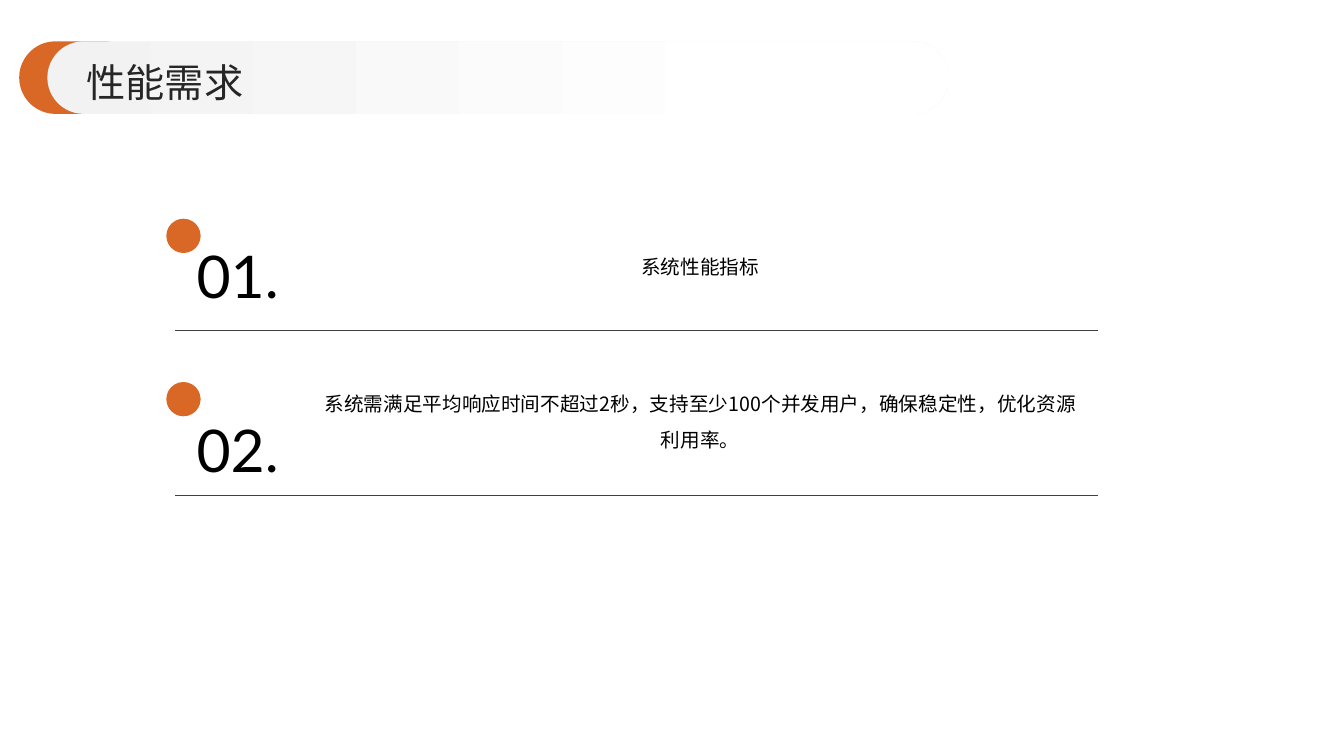
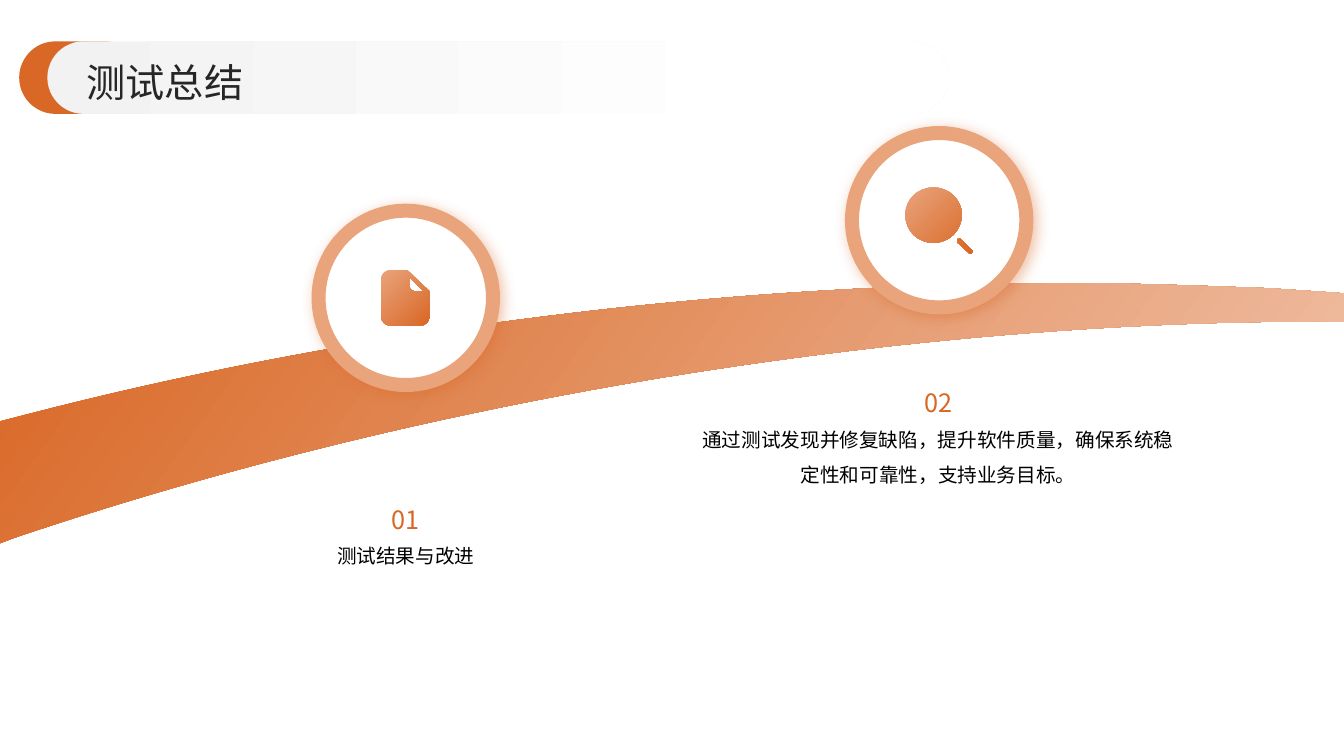
from lxml import etree
from pptx import Presentation
from pptx.dml.color import RGBColor
from pptx.enum.shapes import MSO_CONNECTOR, MSO_SHAPE
from pptx.enum.text import MSO_ANCHOR, PP_ALIGN
from pptx.oxml import parse_xml
from pptx.oxml.ns import qn
from pptx.util import Inches, Pt

OVAL, PILL = MSO_SHAPE.OVAL, MSO_SHAPE.ROUNDED_RECTANGLE
STRAIGHT = MSO_CONNECTOR.STRAIGHT
LEFT, CENTER = PP_ALIGN.LEFT, PP_ALIGN.CENTER
TOP, MIDDLE, BOTTOM = MSO_ANCHOR.TOP, MSO_ANCHOR.MIDDLE, MSO_ANCHOR.BOTTOM
COLORS = {
    "orange": "D96725", "ring": "E9A47C", "peach": "F0C2A8",
    "grey": "F2F2F2", "white": "FFFFFF", "black": "000000",
    "title": "262626", "rule": "404040",
}
RGB = {name: RGBColor.from_string(value) for name, value in COLORS.items()}
CJK, LATIN = "Noto Sans CJK SC", "Lato"
NS = 'xmlns:a="http://schemas.openxmlformats.org/drawingml/2006/main"'
RADIAL = (f'<a:path {NS} path="circle">'
          '<a:fillToRect l="100000" t="100000" r="0" b="0"/></a:path>')
GLOW = (f'<a:effectLst {NS}><a:outerShdw blurRad="{Pt(10)}" dist="{Pt(3)}" '
        'dir="2700000" algn="tl" rotWithShape="0">'
        f'<a:srgbClr val="{COLORS["orange"]}"><a:alpha val="40000"/></a:srgbClr>'
        '</a:outerShdw></a:effectLst>')


def add_text(s, box, text, size, color="black", font=CJK, align=CENTER,
             anchor=MIDDLE, spacing=1.5, inset=(0, 0)):
    tf = s.shapes.add_textbox(*map(Inches, box)).text_frame
    tf.word_wrap = True
    tf.vertical_anchor = anchor
    tf.margin_left = tf.margin_right = Inches(inset[0])
    tf.margin_top = tf.margin_bottom = Inches(inset[1])
    p = tf.paragraphs[0]
    p.alignment = align
    p.line_spacing = spacing
    r = p.add_run()
    r.text = text
    r.font.size = Pt(size)
    r.font.name = font
    r.font.color.rgb = RGB[color]
    etree.SubElement(r.font._element, qn("a:ea")).set("typeface", font)


def add_outline(s, contours, end_color, angle=None):
    builder = s.shapes.build_freeform(*map(Inches, contours[0][0]))
    segments = []
    for i, (start, *contour) in enumerate(contours):
        if i:
            builder.move_to(*map(Inches, start))
        builder.add_line_segments([tuple(map(Inches, seg[-2:])) for seg in contour], close=True)
        segments += contour + [None]
    sp = builder.convert_to_shape()
    lines = list(sp._element.spPr.iter(qn("a:lnTo"), qn("a:close")))
    for line, seg in zip(lines, segments):
        if seg and len(seg) == 6:
            line.tag = qn("a:cubicBezTo")
            for i in (0, 2):
                pt = etree.Element(qn("a:pt"))
                pt.set("x", str(Inches(seg[i]) - sp.left))
                pt.set("y", str(Inches(seg[i + 1]) - sp.top))
                line.insert(i // 2, pt)
    sp.shadow.inherit = False
    sp.line.fill.background()
    sp.fill.gradient()
    for stop, color, position in zip(sp.fill.gradient_stops, ("orange", end_color), (0, 1)):
        stop.color.rgb = RGB[color]
        stop.position = position
    if angle is None:
        lin = sp._element.spPr.find(".//" + qn("a:lin"))
        lin.getparent().replace(lin, parse_xml(RADIAL))
    else:
        sp.fill.gradient_angle = angle


prs = Presentation()
prs.slide_width, prs.slide_height = Inches(13.33), Inches(7.5)
requirements, summary = [prs.slides.add_slide(prs.slide_layouts[6]) for _ in range(2)]

rows = [
    ("01.", "系统性能指标", 2.17, 3.28, 2.03, 2.23),
    ("02.", "系统需满足平均响应时间不超过2秒，支持至少100个并发用户，确保稳定性，优化资源利用率。",
     3.79, 4.91, 3.57, 3.96),
]
for number, text, dot_y, rule_y, text_y, number_y in rows:
    sp = requirements.shapes.add_shape(OVAL, Inches(1.65), Inches(dot_y), Inches(0.34), Inches(0.34))
    sp.shadow.inherit = False
    sp.line.fill.background()
    sp.fill.solid()
    sp.fill.fore_color.rgb = RGB["orange"]
    rule = requirements.shapes.add_connector(
        STRAIGHT, Inches(1.74), Inches(rule_y), Inches(10.89), Inches(rule_y))
    rule.line.color.rgb = RGB["rule"]
    rule.line.width = Pt(0.5)
    etree.SubElement(rule._element.spPr, qn("a:effectLst"))
    add_text(requirements, (3.12, text_y, 7.65, 1.11), text, 14, inset=(0.07, 0.04))
    add_text(requirements, (1.88, number_y, 1.23, 0.64), number, 42, font=LATIN,
             align=LEFT, inset=(0.07, 0.04))

band = [[
    (10.37, 2.81), (10.57, 2.81, 10.77, 2.81, 10.96, 2.81),
    (11.51, 2.82, 12.06, 2.84, 12.59, 2.86), (13.33, 2.91), (13.33, 3.19), (13.27, 3.19),
    (11.18, 3.18, 8.96, 3.36, 6.67, 3.73), (4.34, 4.11, 2.14, 4.66, 0.13, 5.34),
    (0, 5.39), (0, 4.18), (0.35, 4.09), (2.15, 3.63, 4.07, 3.28, 6.08, 3.06),
    (7.55, 2.9, 8.98, 2.82, 10.37, 2.81),
]]
document = [
    [(4.06, 2.75), (4.06, 2.84), (4.06, 2.86, 4.08, 2.89, 4.11, 2.89), (4.2, 2.89)],
    [(3.87, 2.68), (4.04, 2.68), (4.05, 2.69), (4.26, 2.89), (4.26, 3.14),
     (4.26, 3.19, 4.22, 3.23, 4.17, 3.23), (3.87, 3.23),
     (3.82, 3.23, 3.78, 3.19, 3.78, 3.14), (3.78, 2.77),
     (3.78, 2.72, 3.82, 2.68, 3.87, 2.68)],
]
magnifier = [
    [(9.51, 2.37), (9.52, 2.37, 9.53, 2.37, 9.53, 2.37), (9.64, 2.48),
     (9.65, 2.49, 9.65, 2.5, 9.64, 2.51), (9.63, 2.52, 9.63, 2.52, 9.62, 2.52),
     (9.62, 2.52, 9.61, 2.52, 9.61, 2.51), (9.5, 2.41),
     (9.49, 2.4, 9.49, 2.38, 9.5, 2.37), (9.5, 2.37, 9.51, 2.37, 9.51, 2.37)],
    [(9.26, 1.86), (9.41, 1.86, 9.54, 1.98, 9.54, 2.13),
     (9.54, 2.29, 9.41, 2.41, 9.26, 2.41), (9.1, 2.41, 8.98, 2.29, 8.98, 2.13),
     (8.98, 1.98, 9.1, 1.86, 9.26, 1.86)],
]
add_outline(summary, band, "peach", angle=324)

stages = [
    ("01", "测试结果与改进", document, 3.16, 2.09, 1.62, 4.87, 5.28),
    ("02", "通过测试发现并修复缺陷，提升软件质量，确保系统稳定性和可靠性，支持业务目标。",
     magnifier, 8.45, 1.32, 6.9, 3.71, 4.13),
]
for number, text, icon, ring_x, ring_y, text_x, number_y, text_y in stages:
    ring = summary.shapes.add_shape(OVAL, Inches(ring_x), Inches(ring_y), Inches(1.73), Inches(1.73))
    ring.fill.solid()
    ring.fill.fore_color.rgb = RGB["white"]
    ring.line.color.rgb = RGB["ring"]
    ring.line.width = Pt(10)
    ring._element.spPr.append(parse_xml(GLOW))
    add_text(summary, (text_x, text_y, 4.81, 1.42), text, 14, anchor=TOP)
    add_text(summary, (text_x, number_y, 4.81, 0.43), number, 18, "orange", anchor=BOTTOM, spacing=1.3)
    add_outline(summary, icon, "ring")

for s, title in ((requirements, "性能需求"), (summary, "测试总结")):
    for left, width in ((0.19, 1.21), (0.47, 8.94)):
        sp = s.shapes.add_shape(PILL, Inches(left), Inches(0.41), Inches(width), Inches(0.72))
        sp.adjustments[0] = 0.5
        sp.shadow.inherit = False
        sp.line.fill.background()
        sp.fill.solid()
        sp.fill.fore_color.rgb = RGB["orange"]
    sp.fill.gradient()
    sp.fill.gradient_angle = 0
    for stop, color, position in zip(sp.fill.gradient_stops, ("grey", "white"), (0, 0.8)):
        stop.color.rgb = RGB[color]
        stop.position = position
    add_text(s, (0.86, 0.53, 11.67, 0.51), title, 28, "title", align=LEFT, spacing=1.1)

prs.save("out.pptx")
